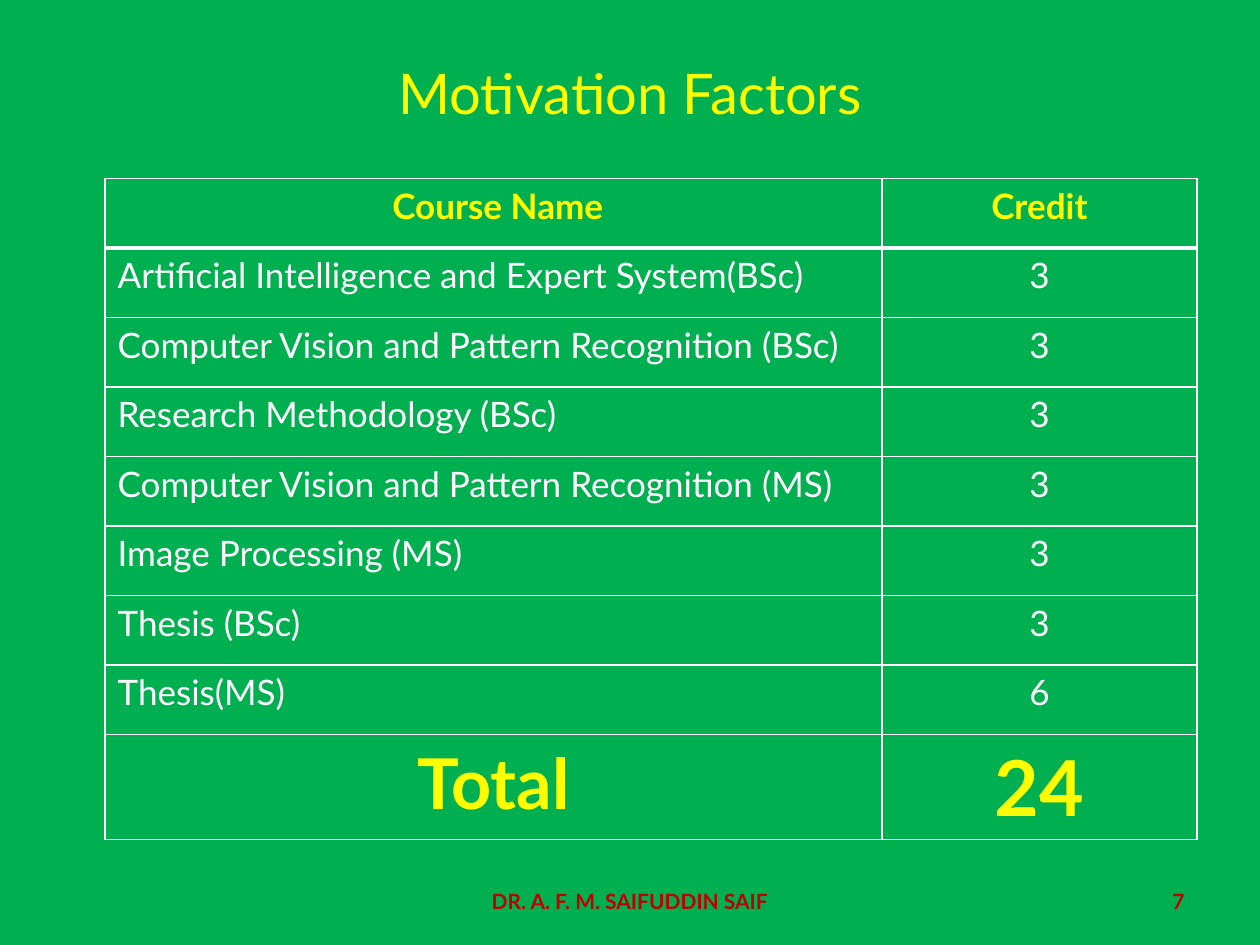
from lxml.etree import SubElement
from pptx import Presentation
from pptx.dml.color import RGBColor
from pptx.enum.text import MSO_ANCHOR, PP_ALIGN
from pptx.oxml.ns import qn
from pptx.util import Inches, Pt

HUES = {"green": "00B050", "yellow": "FFFF00", "white": "FFFFFF", "red": "C00000"}
LEFT, MID, RIGHT = PP_ALIGN.LEFT, PP_ALIGN.CENTER, PP_ALIGN.RIGHT


class Deck:
    """Draws on one slide, with lengths in twelfths of an inch."""

    face = "Lato"

    def __init__(self, wide, high):
        self.file = Presentation()
        self.file.slide_width = self.unit(wide)
        self.file.slide_height = self.unit(high)
        self.slide = self.file.slides.add_slide(self.file.slide_layouts[6])
        self.paint(self.slide.background.fill, "green")

    def unit(self, count):
        return Inches(count / 12)

    def paint(self, fill, hue):
        fill.solid()
        fill.fore_color.rgb = RGBColor.from_string(HUES[hue])

    def label(self, frame, text, size, hue, bold=False, align=MID):
        line = frame.paragraphs[0]
        line.text, line.alignment = text, align
        font = line.font
        font.name, font.size, font.bold = self.face, Pt(size), bold
        font.color.rgb = RGBColor.from_string(HUES[hue])

    def text(self, box, *style):
        frame = self.slide.shapes.add_textbox(*map(self.unit, box)).text_frame
        frame.word_wrap = True
        frame.vertical_anchor = MSO_ANCHOR.MIDDLE
        self.label(frame, *style)

    def edge(self, cell, side, width):
        props = cell._tc.get_or_add_tcPr()
        line = SubElement(props, qn("a:ln" + side), w=str(Pt(width)))
        fill = SubElement(line, qn("a:solidFill"))
        SubElement(fill, qn("a:srgbClr"), val=HUES["white"])

    def table(self, left, top, cols, rows, data):
        box = map(self.unit, (left, top, sum(cols), sum(rows)))
        grid = self.slide.shapes.add_table(len(rows), len(cols), *box).table
        grid.horz_banding = False
        for col, width in zip(grid.columns, cols):
            col.width = self.unit(width)
        for i, (row, high) in enumerate(zip(grid.rows, rows)):
            row.height = self.unit(high)
            for cell, style in zip(row.cells, data[i]):
                for side in "LRTB":
                    thick = (side, i) in (("B", 0), ("T", 1))
                    self.edge(cell, side, 3 if thick else 1)
                self.paint(cell.fill, "green")
                self.label(cell.text_frame, *style)


COURSES = [
    ("Artificial Intelligence and Expert System(BSc)", 3),
    ("Computer Vision and Pattern Recognition (BSc)", 3),
    ("Research Methodology (BSc)", 3),
    ("Computer Vision and Pattern Recognition (MS)", 3),
    ("Image Processing (MS)", 3),
    ("Thesis (BSc)", 3),
    ("Thesis(MS)", 6),
]
head = [(" Course Name", 20, "yellow", True), ("Credit", 20, "yellow", True)]
body = [
    [(name, 20, "white", False, LEFT), (str(credit), 20, "white")]
    for name, credit in COURSES
]
total = str(sum(credit for name, credit in COURSES))
foot = [("Total", 40, "yellow", True), (total, 44, "yellow", True)]

deck = Deck(120, 90)
deck.text((6, 3.6, 108, 10.4), "Motivation Factors", 32, "yellow")
deck.table(10, 17, [74, 30], [6.62] * 8 + [10], [head, *body, foot])
deck.text((41, 83.4, 38, 4.8), "DR. A. F. M. SAIFUDDIN SAIF", 12, "red", True)
deck.text((86, 83.4, 28, 4.8), "7", 12, "red", True, RIGHT)
deck.file.save("out.pptx")
